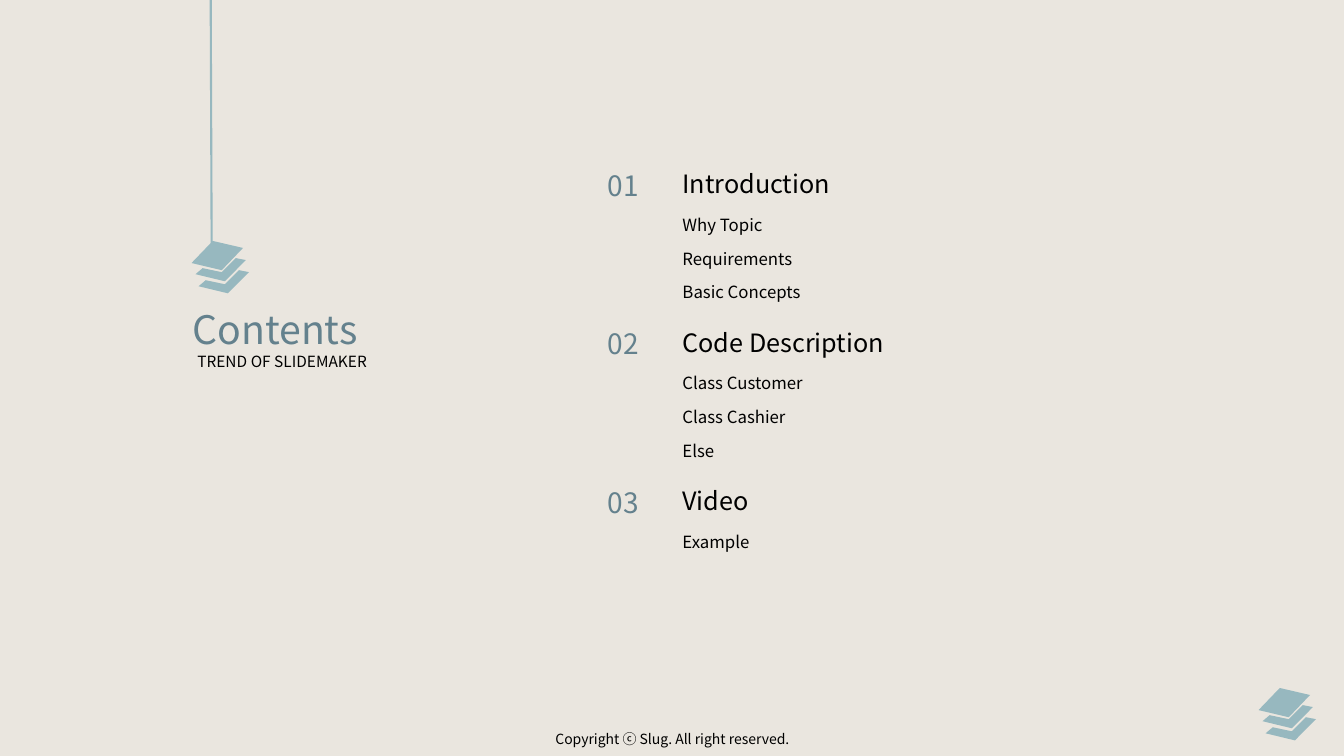
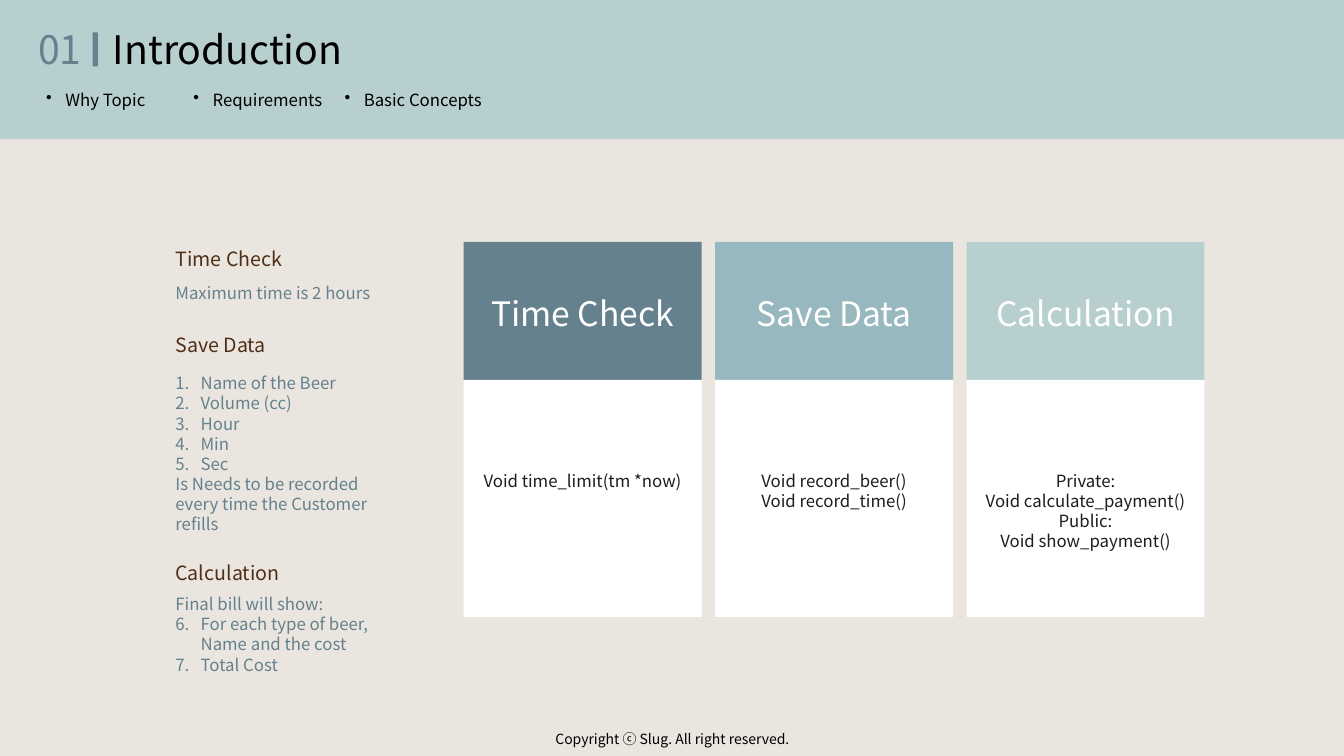
from dataclasses import dataclass
from typing import Any, Sequence

import lxml.etree
import pptx
import pptx.dml.color
import pptx.enum.shapes
import pptx.enum.text
import pptx.oxml.ns
import pptx.util

RGBColor = pptx.dml.color.RGBColor
Pt = pptx.util.Pt
Align = pptx.enum.text.PP_ALIGN
qn = pptx.oxml.ns.qn

# Shared look
SAND = RGBColor(0xEA, 0xE6, 0xDF)
SLATE = RGBColor(0x64, 0x81, 0x8D)
TEAL = RGBColor(0x97, 0xB8, 0xBF)
MIST = RGBColor(0xB7, 0xCF, 0xCE)
BROWN = RGBColor(0x4F, 0x2E, 0x16)
INK = RGBColor(0x1D, 0x1D, 0x1D)
BLACK = RGBColor(0, 0, 0)
WHITE = RGBColor(0xFF, 0xFF, 0xFF)
FONT = "Noto Sans CJK KR"
LEADING = 1.2

WIDTH = pptx.util.Inches(13.33)
HEIGHT = pptx.util.Inches(7.5)


@dataclass(frozen=True)
class Box:
    """Place and size in percent of the slide's width and height."""
    x: float
    y: float
    w: float
    h: float


@dataclass(frozen=True)
class Style:
    size: float
    color: RGBColor
    align: Any = Align.LEFT


@dataclass(frozen=True)
class Line:
    text: str
    style: Style
    before: float = 0
    mark: str = ""      # "", "1." or a bullet character
    hang: float = 0     # hanging indent in inches


@dataclass(frozen=True)
class Card:
    head: str
    fill: RGBColor
    code: Sequence[str]


TITLE = Style(28, BLACK)
LEAD = Style(28, SLATE)
COUNT = Style(20, SLATE)
TOPIC = Style(18, BLACK)
ITEM = Style(12, BLACK)
SIDE = Style(14, BROWN)
NOTE = Style(12, SLATE)
HEAD = Style(24, WHITE, Align.CENTER)
CODE = Style(12, INK, Align.CENTER)
FOOT = Style(10, BLACK, Align.CENTER)


def across(share: float) -> int:
    return round(WIDTH * share / 100)


def down(share: float) -> int:
    return round(HEIGHT * share / 100)


def frame(box: Box) -> tuple[int, int, int, int]:
    return across(box.x), down(box.y), across(box.w), down(box.h)


# Text
def write(shape: Any, lines: Sequence[Line]) -> None:
    text = shape.text_frame
    text.word_wrap = True
    text.auto_size = pptx.enum.text.MSO_AUTO_SIZE.NONE
    text.vertical_anchor = pptx.enum.text.MSO_ANCHOR.TOP
    for i, line in enumerate(lines):
        para = text.add_paragraph() if i else text.paragraphs[0]
        props = para._p.get_or_add_pPr()
        inset = pptx.util.Inches(line.hang)
        props.set("marL", str(inset))
        props.set("indent", str(-inset))
        if line.mark == "1.":
            lxml.etree.SubElement(props, qn("a:buAutoNum"), type="arabicPeriod")
        elif line.mark:
            lxml.etree.SubElement(props, qn("a:buChar"), char=line.mark)
        else:
            lxml.etree.SubElement(props, qn("a:buNone"))
        para.alignment = line.style.align
        para.line_spacing = Pt(line.style.size * LEADING)
        para.space_before = Pt(line.before)
        para.space_after = Pt(0)
        run = para.add_run()
        run.text = line.text
        run.font.size = Pt(line.style.size)
        run.font.color.rgb = line.style.color
        run.font.name = FONT
        lxml.etree.SubElement(run._r.get_or_add_rPr(), qn("a:ea"), typeface=FONT)


def label(slide: Any, box: Box, line: Line) -> None:
    write(slide.shapes.add_textbox(*frame(box)), [line])


def place(holder: Any, box: Box, lines: Sequence[Line]) -> None:
    holder.left, holder.top, holder.width, holder.height = frame(box)
    write(holder, lines)


# Shapes
def paint(shape: Any, fill: RGBColor) -> None:
    shape.shadow.inherit = False
    shape.fill.solid()
    shape.fill.fore_color.rgb = fill
    shape.line.fill.background()


def block(slide: Any, box: Box, fill: RGBColor) -> Any:
    kind = pptx.enum.shapes.MSO_SHAPE.RECTANGLE
    shape = slide.shapes.add_shape(kind, *frame(box))
    paint(shape, fill)
    return shape


def panel(slide: Any, box: Box, fill: RGBColor, inset: float,
          lines: Sequence[Line]) -> None:
    shape = block(slide, box, fill)
    write(shape, lines)
    shape.text_frame.margin_top = down(inset)


def stack(slide: Any, x: float, y: float) -> None:
    """Three stacked sheets, the lower two partly hidden."""
    top = [(1.58, 0), (3.83, 0.93), (2.25, 3.87), (0, 2.93)]
    fold = [(0.83, 3.6), (2.25, 4.13), (3.3, 2.27),
            (4.05, 2.53), (2.48, 5.33), (0.3, 4.4)]
    base = [(a + 0.23, b + 1.6) for a, b in fold]
    group = slide.shapes.add_group_shape()
    for sheet in (top, fold, base):
        spots = [(across(x + a), down(y + b)) for a, b in sheet]
        pen = group.shapes.build_freeform(*spots[0])
        pen.add_line_segments(spots[1:], close=True)
        paint(pen.convert_to_shape(), TEAL)


def thread(slide: Any, x1: float, y1: float, x2: float, y2: float) -> None:
    line = slide.shapes.add_connector(
        pptx.enum.shapes.MSO_CONNECTOR.STRAIGHT,
        across(x1), down(y1), across(x2), down(y2))
    line.line.color.rgb = TEAL
    line.line.width = Pt(1.5)
    lxml.etree.SubElement(line._element.spPr, qn("a:effectLst"))


def footer(slide: Any) -> None:
    label(slide, Box(37.05, 96, 25.95, 3.6),
          Line("Copyright ⓒ Slug. All right reserved.", FOOT))


# Contents slide
def contents(deck: Any) -> None:
    slide = deck.slides.add_slide(deck.slide_layouts[1])
    place(slide.shapes.title, Box(13.58, 39.73, 16.5, 7.6),
          [Line("Contents", LEAD)])
    label(slide, Box(13.95, 45.87, 16.5, 3.87),
          Line("TREND OF SLIDEMAKER", ITEM_SMALL))

    topics = [
        ("Introduction", ["Why Topic", "Requirements", "Basic Concepts"]),
        ("Code Description", ["Class Customer", "Class Cashier", "Else"]),
        ("Video", ["Example"]),
    ]
    lines: list[Line] = []
    for i, (topic, items) in enumerate(topics):
        label(slide, Box(44.48, 21.6 + 21 * i, 4.13, 5.87),
              Line(f"{i + 1:02}", COUNT))
        lines.append(Line(topic, TOPIC, 17.5 if i else 0))
        lines += [Line(item, ITEM, 9.7 if j else 11.5)
                  for j, item in enumerate(items)]
    place(slide.placeholders[1], Box(50.03, 21.6, 29.78, 53.33), lines)

    stack(slide, 14.25, 31.87)
    stack(slide, 93.64, 91)
    thread(slide, 15.68, 0, 15.75, 32.53)
    footer(slide)


ITEM_SMALL = Style(11, BLACK)


# Introduction slide
def intro(deck: Any) -> None:
    slide = deck.slides.add_slide(deck.slide_layouts[1])

    # Band goes behind the title
    band = block(slide, Box(0, 0, 100, 18.4), MIST)
    slide.shapes._spTree.insert(2, band._element)
    label(slide, Box(2.1, 2.67, 5.55, 7.6), Line("01", LEAD))
    block(slide, Box(6.9, 4.27, 0.38, 4.53), SLATE)
    place(slide.shapes.title, Box(7.65, 2.67, 22.13, 7.6),
          [Line("Introduction", TITLE)])
    for x, text in ((2.7, "Why Topic"), (13.65, "Requirements"),
                    (24.9, "Basic Concepts")):
        label(slide, Box(x, 11.2, 14.63, 4), Line(text, ITEM, 0, "•", 0.19))

    # Side notes
    def steps(first: float, *texts: str) -> list[Line]:
        return [Line(text, NOTE, 0 if i else first, "1.", 0.25)
                for i, text in enumerate(texts)]

    place(slide.placeholders[1], Box(12.3, 32, 17.78, 58), [
        Line("Time Check", SIDE),
        Line("Maximum time is 2 hours", NOTE, 8.4),
        Line("Save Data", SIDE, 21.6),
        *steps(12, "Name of the Beer", "Volume (cc)", "Hour", "Min", "Sec"),
        Line("Is Needs to be recorded every time the Customer refills", NOTE),
        Line("Calculation", SIDE, 18.7),
        Line("Final bill will show:", NOTE, 7),
        *steps(0, "For each type of beer, Name and the cost", "Total Cost"),
    ])

    # Cards
    cards = [
        Card("Time Check", SLATE, ["Void time_limit(tm *now)"]),
        Card("Save Data", TEAL, ["Void record_beer()", "Void record_time()"]),
        Card("Calculation", MIST, ["Private:", "Void calculate_payment()",
                                   "Public:", "Void show_payment()"]),
    ]
    for i, card in enumerate(cards):
        x = 34.5 + 18.71 * i
        panel(slide, Box(x, 32, 17.7, 18.27), card.fill, 6.8,
              [Line(card.head, HEAD)])
        panel(slide, Box(x, 50.27, 17.7, 31.33), WHITE, 12,
              [Line(text, CODE) for text in card.code])
    footer(slide)


def main() -> None:
    deck = pptx.Presentation()
    deck.slide_width, deck.slide_height = WIDTH, HEIGHT
    back = deck.slide_master.background.fill
    back.solid()
    back.fore_color.rgb = SAND
    contents(deck)
    intro(deck)
    deck.save("out.pptx")


if __name__ == "__main__":
    main()
